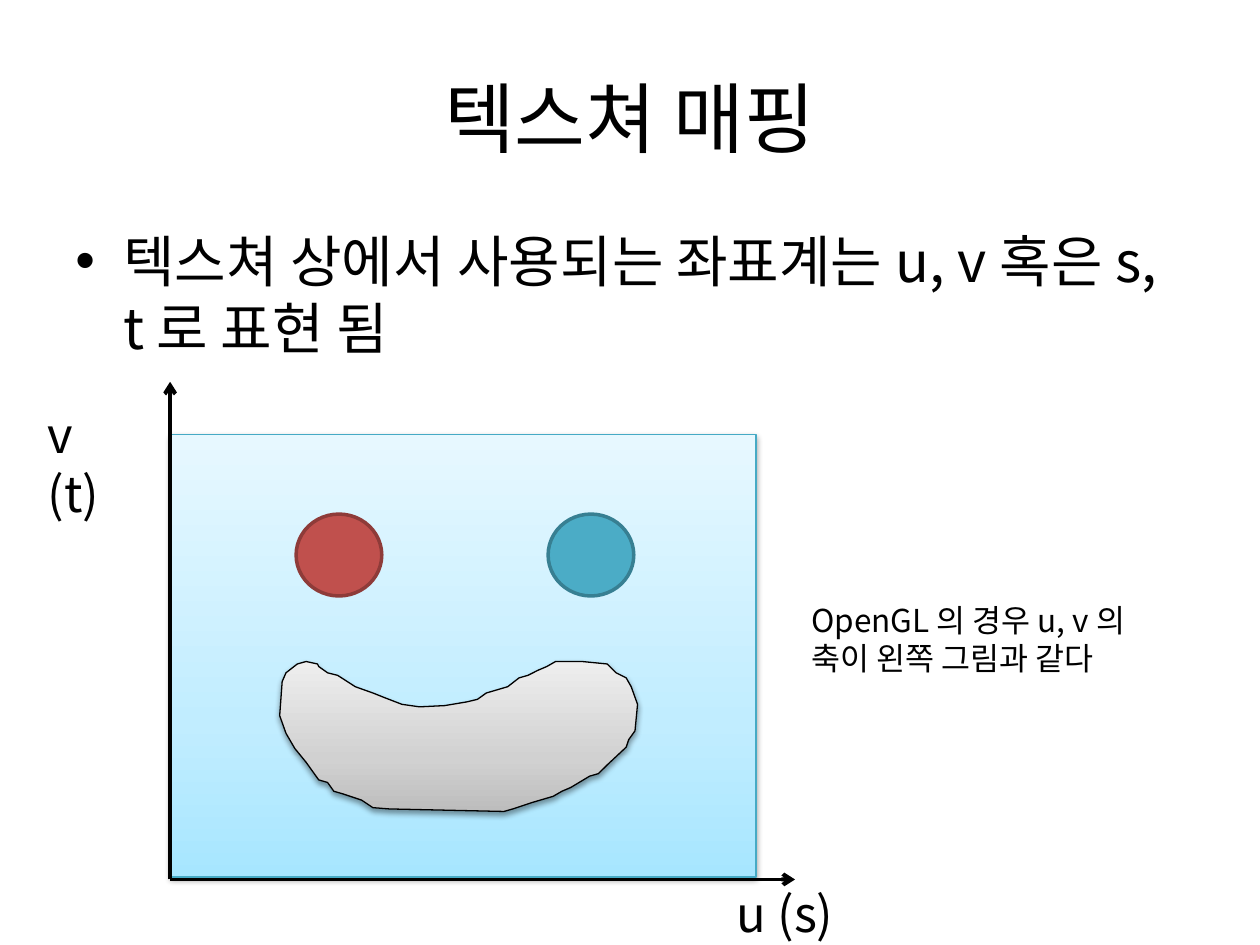
from copy import deepcopy
from lxml.etree import SubElement
from pptx import Presentation
from pptx.dml.color import RGBColor
from pptx.enum.shapes import MSO_CONNECTOR, MSO_SHAPE
from pptx.enum.text import MSO_ANCHOR, PP_ALIGN
from pptx.oxml.ns import qn
from pptx.util import Inches, Pt

# Content
TITLE = "텍스쳐 매핑"
BULLET = "텍스쳐 상에서 사용되는 좌표계는 u, v 혹은 s, t 로 표현 됨"
NOTE = "OpenGL 의 경우 u, v 의 축이 왼쪽 그림과 같다"
ORIGIN = (1.35, 6.98)
AXES = [  # axis end, label, label box
    ((6.31, 6.98), "u (s)", (5.75, 6.96, 1.06, 0.57)),
    ((1.35, 3.03), "v (t)", (0.28, 3.16, 0.87, 0.57)),
]
EYES = [(2.35, "C0504D", "8E3B39"), (4.35, "4BACC6", "377F92")]  # left, fill, line
MOUTH = [
    (2.43, 6.05), (2.34, 5.94), (2.27, 5.82), (2.22, 5.68), (2.24, 5.41), (2.27, 5.34),
    (2.36, 5.27), (2.43, 5.25), (2.52, 5.27), (2.53, 5.29), (2.6, 5.34), (2.68, 5.36),
    (2.82, 5.45), (2.96, 5.5), (3.06, 5.54), (3.19, 5.59), (3.33, 5.61), (3.53, 5.6),
    (3.71, 5.57), (3.79, 5.55), (3.86, 5.5), (4.03, 5.45), (4.12, 5.38), (4.19, 5.36),
    (4.27, 5.32), (4.34, 5.29), (4.41, 5.25), (4.62, 5.25), (4.82, 5.27), (4.89, 5.34),
    (4.97, 5.38), (5.01, 5.45), (5.06, 5.59), (5.04, 5.8), (4.99, 5.87), (4.97, 5.93),
    (4.82, 6.07), (4.75, 6.14), (4.68, 6.16), (4.53, 6.25), (4.46, 6.28), (4.39, 6.32),
    (4.22, 6.37), (4.07, 6.42), (4, 6.44), (3.09, 6.42), (2.96, 6.41), (2.87, 6.35),
    (2.72, 6.3), (2.65, 6.28), (2.6, 6.21), (2.53, 6.19),
]

THEME = {
    "font": "Noto Sans CJK KR", "ink": "000000",
    "title": 44, "body": 32, "axis": 28, "note": 18,
    "sky": ("A7E6FF", "C1EDFF", "E7F8FF"), "sky_line": "46AAC5",
    "gray": ("BDBDBD", "D1D1D1", "EEEEEE"),
}


def color(value):
    return RGBColor.from_string(value)


def add_text(page, text, area, size):
    box = page.shapes.add_textbox(*map(Inches, area))
    box.text_frame.word_wrap = True
    para = box.text_frame.paragraphs[0]
    para.text = text
    para.font.size = Pt(size)
    para.font.color.rgb = color(THEME["ink"])
    para.font.name = THEME["font"]
    properties = para._p.pPr.find(qn("a:defRPr"))
    SubElement(properties, qn("a:ea"), typeface=THEME["font"])
    return box, para


def set_line(shape, value, width):
    shape.line.color.rgb = color(value)
    shape.line.width = Pt(width)


def shade(shape, colors):
    """Three-stop gradient rising from the bottom, with a soft shadow below."""
    shape.fill.gradient()
    shape.fill.gradient_angle = 90
    properties = shape._element.spPr
    stop_list = properties.find(".//" + qn("a:gsLst"))
    stop_list.insert(1, deepcopy(stop_list[0]))
    for stop, position, value in zip(shape.fill.gradient_stops, (0, 0.35, 1), colors):
        stop.position = position
        stop.color.rgb = color(value)
    shape.shadow.inherit = False
    shadow = SubElement(properties.find(qn("a:effectLst")), qn("a:outerShdw"),
                        blurRad=str(Pt(3.1)), dist=str(Pt(1.6)), dir="5400000", rotWithShape="0")
    tint = SubElement(shadow, qn("a:srgbClr"), val=THEME["ink"])
    SubElement(tint, qn("a:alpha"), val="38000")


def add_face(page):
    shapes = page.shapes.add_group_shape().shapes
    panel = shapes.add_shape(MSO_SHAPE.RECTANGLE, *map(Inches, (1.35, 3.45, 4.65, 3.51)))
    set_line(panel, THEME["sky_line"], 0.75)
    shade(panel, THEME["sky"])
    for left, fill, outline in EYES:
        eye = shapes.add_shape(MSO_SHAPE.OVAL, *map(Inches, (left, 4.08, 0.68, 0.65)))
        eye.fill.solid()
        eye.fill.fore_color.rgb = color(fill)
        set_line(eye, outline, 2)
        eye.shadow.inherit = False
    # The builder rounds its points to whole units, so give it lengths in full
    points = [(Inches(x), Inches(y)) for x, y in MOUTH]
    builder = shapes.build_freeform(*points[0])
    builder.add_line_segments(points[1:], close=True)
    mouth = builder.convert_to_shape()
    set_line(mouth, THEME["ink"], 0.75)
    shade(mouth, THEME["gray"])


def add_axis(page, end):
    axis = page.shapes.add_connector(MSO_CONNECTOR.STRAIGHT, *map(Inches, ORIGIN + end))
    set_line(axis, THEME["ink"], 2.25)
    SubElement(axis.line._ln, qn("a:tailEnd"), type="arrow")
    SubElement(axis._element.spPr, qn("a:effectLst"))


def main():
    deck = Presentation()
    deck.slide_width, deck.slide_height = Inches(10), Inches(7.5)
    page = deck.slides.add_slide(deck.slide_layouts[6])

    # Title
    box, para = add_text(page, TITLE, (0.5, 0.3, 9, 1.25), THEME["title"])
    box.text_frame.vertical_anchor = MSO_ANCHOR.MIDDLE
    para.alignment = PP_ALIGN.CENTER

    # Bullet with hanging indent
    box, para = add_text(page, BULLET, (0.5, 1.75, 9, 4.95), THEME["body"])
    para.space_before = Pt(6.4)
    properties = para._p.pPr
    properties.set("marL", str(Inches(0.38)))
    properties.set("indent", str(Inches(-0.38)))
    for tag, attributes in (("a:buFont", {"typeface": "Arial"}), ("a:buChar", {"char": "•"})):
        bullet = SubElement(properties, qn(tag), attributes)
        properties.find(qn("a:defRPr")).addprevious(bullet)

    # Texture with its axes
    add_face(page)
    for end, label, area in AXES:
        add_axis(page, end)
        add_text(page, label, area, THEME["axis"])

    # Side note
    add_text(page, NOTE, (6.34, 4.72, 3.07, 0.71), THEME["note"])
    deck.save("out.pptx")


if __name__ == "__main__":
    main()
